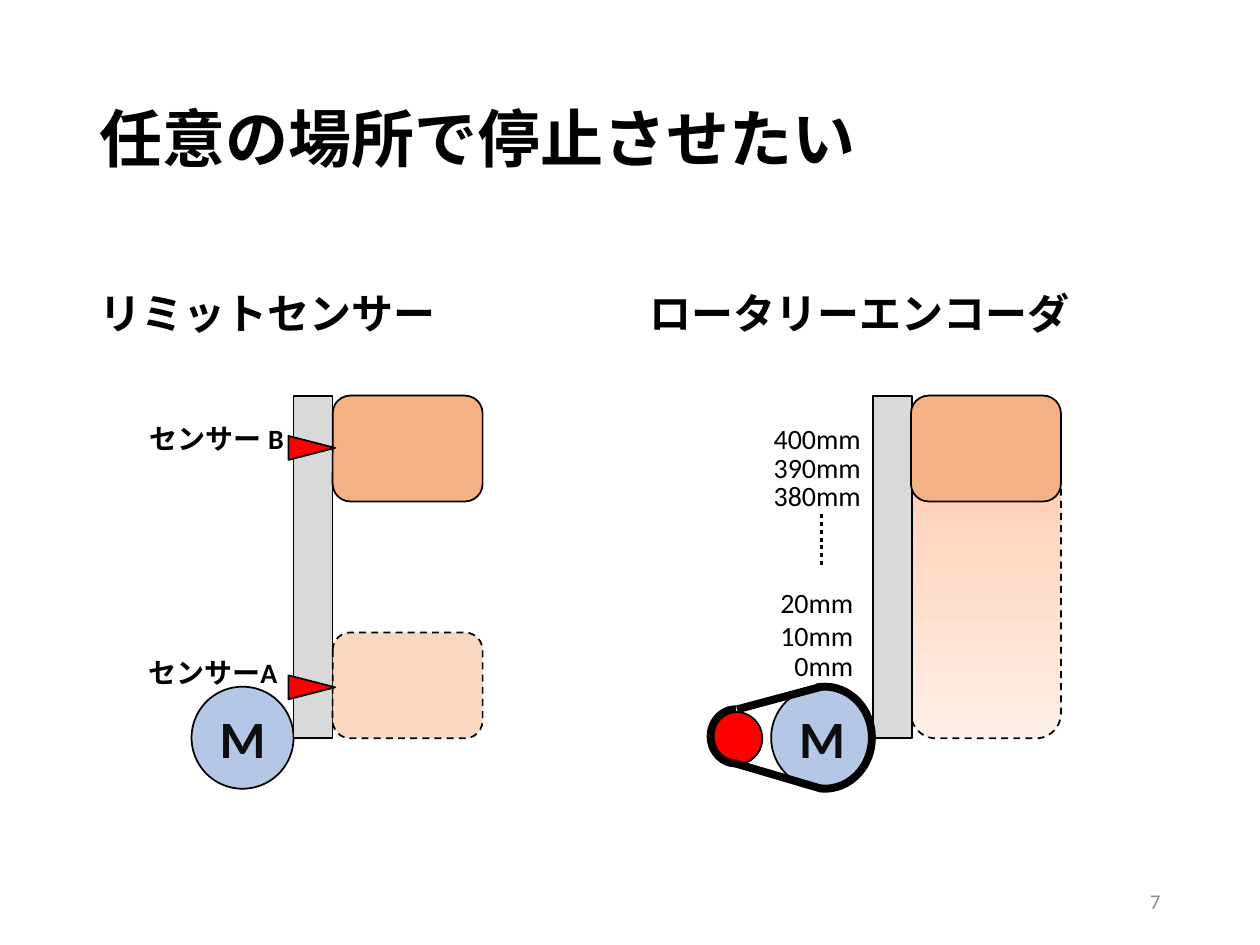
from lxml import etree
from pptx import Presentation
from pptx.dml.color import RGBColor
from pptx.enum.dml import MSO_LINE
from pptx.enum.shapes import MSO_CONNECTOR, MSO_SHAPE
from pptx.enum.text import MSO_ANCHOR, MSO_AUTO_SIZE, PP_ALIGN
from pptx.oxml.ns import qn
from pptx.util import Pt

SCALE = 9144
FONT = "Calibri"
DASH, DOT = MSO_LINE.DASH, MSO_LINE.ROUND_DOT
RECT, ROUND_RECT = MSO_SHAPE.RECTANGLE, MSO_SHAPE.ROUNDED_RECTANGLE
OVAL, TRIANGLE, ARC = MSO_SHAPE.OVAL, MSO_SHAPE.ISOSCELES_TRIANGLE, MSO_SHAPE.ARC
STRAIGHT = MSO_CONNECTOR.STRAIGHT
TOP, MIDDLE, BOTTOM = MSO_ANCHOR.TOP, MSO_ANCHOR.MIDDLE, MSO_ANCHOR.BOTTOM
LEFT, CENTER, RIGHT = PP_ALIGN.LEFT, PP_ALIGN.CENTER, PP_ALIGN.RIGHT
FIT, NO_FIT = MSO_AUTO_SIZE.SHAPE_TO_FIT_TEXT, MSO_AUTO_SIZE.NONE
COLORS = {
    "black": "000000", "letter": "0D0D0D", "number": "8C8C8C",
    "motor": "B4C7E7", "rail": "D9D9D9", "carriage": "F4B183",
    "red": "FF0000", "trail_top": "FFCEB3", "trail_end": "FFEFE7",
}


def px(*lengths):
    return [length * SCALE for length in lengths]


def assign(target, values):
    for name, value in values.items():
        setattr(target, name, value)


class SlideBuilder:
    def __init__(self, slide):
        self.slide = slide

    def color(self, name):
        return RGBColor.from_string(COLORS[name])

    def outline(self, line, width, dash=None):
        line.color.rgb = self.color("black")
        assign(line, {"width": Pt(width), "dash_style": dash})

    def fill_text(self, frame, words, size, bold=False, color="black",
                  align=LEFT, anchor=TOP, spacing=None, fit=NO_FIT):
        assign(frame, {"word_wrap": True, "auto_size": fit,
                       "vertical_anchor": anchor})
        paragraph = frame.paragraphs[0]
        assign(paragraph, {"text": words, "alignment": align,
                           "line_spacing": spacing})
        assign(paragraph.font, {"name": FONT, "size": Pt(size), "bold": bold})
        paragraph.font.color.rgb = self.color(color)

    def text(self, box, words, size, **style):
        frame = self.slide.shapes.add_textbox(*px(*box)).text_frame
        self.fill_text(frame, words, size, **style)

    def label(self, box, words, bold=False):
        self.text(box, words, 16, bold=bold, align=RIGHT, fit=FIT)

    def shape(self, kind, box, fill=None, dash=None, width=1, rotation=0):
        shape = self.slide.shapes.add_shape(kind, *px(*box))
        shape.rotation = rotation
        shape.shadow.inherit = False
        self.outline(shape.line, width, dash)
        if fill:
            shape.fill.solid()
            shape.fill.fore_color.rgb = self.color(fill)
        else:
            shape.fill.background()
        return shape

    def motor(self, box):
        circle = self.shape(OVAL, box, "motor")
        self.fill_text(circle.text_frame, "M", 30, bold=True, color="letter",
                       align=CENTER, anchor=MIDDLE)

    def ghost(self, box):
        shape = self.shape(ROUND_RECT, box, "carriage", DASH)
        color = shape._element.spPr.find(qn("a:solidFill"))[0]
        etree.SubElement(color, qn("a:alpha"), val="50000")

    def trail(self, box):
        fill = self.shape(ROUND_RECT, box, dash=DASH).fill
        fill.gradient()
        fill.gradient_angle = 270
        for stop, name in zip(fill.gradient_stops, ("trail_top", "trail_end")):
            stop.color.rgb = self.color(name)

    def line(self, ends, width, dash=None):
        connector = self.slide.shapes.add_connector(STRAIGHT, *px(*ends))
        self.outline(connector.line, width, dash)
        etree.SubElement(connector._element.spPr, qn("a:effectLst"))

    def arc(self, box, start, end):
        shape = self.shape(ARC, box, width=4.5)
        shape.adjustments[0] = start
        shape.adjustments[1] = end


def main():
    deck = Presentation()
    deck.slide_width, deck.slide_height = px(1000, 750)
    page = SlideBuilder(deck.slides.add_slide(deck.slide_layouts[6]))

    page.text((69, 40, 862, 145), "任意の場所で停止させたい", 36,
              bold=True, anchor=MIDDLE, spacing=0.9)
    for left, heading in ((69, "リミットセンサー"), (506, "ロータリーエンコーダ")):
        page.text((left, 184, 424, 90), heading, 24,
                  bold=True, anchor=BOTTOM, spacing=0.9)
    page.text((706, 695, 225, 40), "7", 12, color="number",
              align=RIGHT, anchor=MIDDLE)

    page.trail((723, 365, 119, 221))
    for motor_left, carriage_left in ((152, 264), (612, 723)):
        page.motor((motor_left, 545, 81, 81))
        page.shape(RECT, (motor_left + 81, 314, 31, 272), "rail")
        page.shape(ROUND_RECT, (carriage_left, 314, 119, 84), "carriage")

    page.ghost((264, 502, 119, 84))
    for sensor_top in (337, 527):
        page.shape(TRIANGLE, (238, sensor_top, 19, 37), "red", rotation=90)
    page.label((78, 330, 157, 37), "センサー B", bold=True)
    page.label((63, 515, 167, 37), "センサーA", bold=True)

    for top, height_mark in ((330, "400mm"), (353, "390mm"), (375, "380mm")):
        page.label((585, top, 108, 37), height_mark)
    for top, height_mark in ((460, "20mm"), (486, "10mm"), (510, "0mm")):
        page.label((602, top, 85, 37), height_mark)
    page.line((652, 408, 652, 450), 2.25, DOT)

    page.shape(OVAL, (563, 565, 42, 42), "red")
    page.line((585, 563, 652, 545), 4.5)
    page.line((584, 606, 652, 626), 4.5)
    page.arc((617, 545, 75, 81), 156.28, 57.21)
    page.arc((564, 563, 40, 43), 53.11, 162.52)

    deck.save("out.pptx")


if __name__ == "__main__":
    main()
